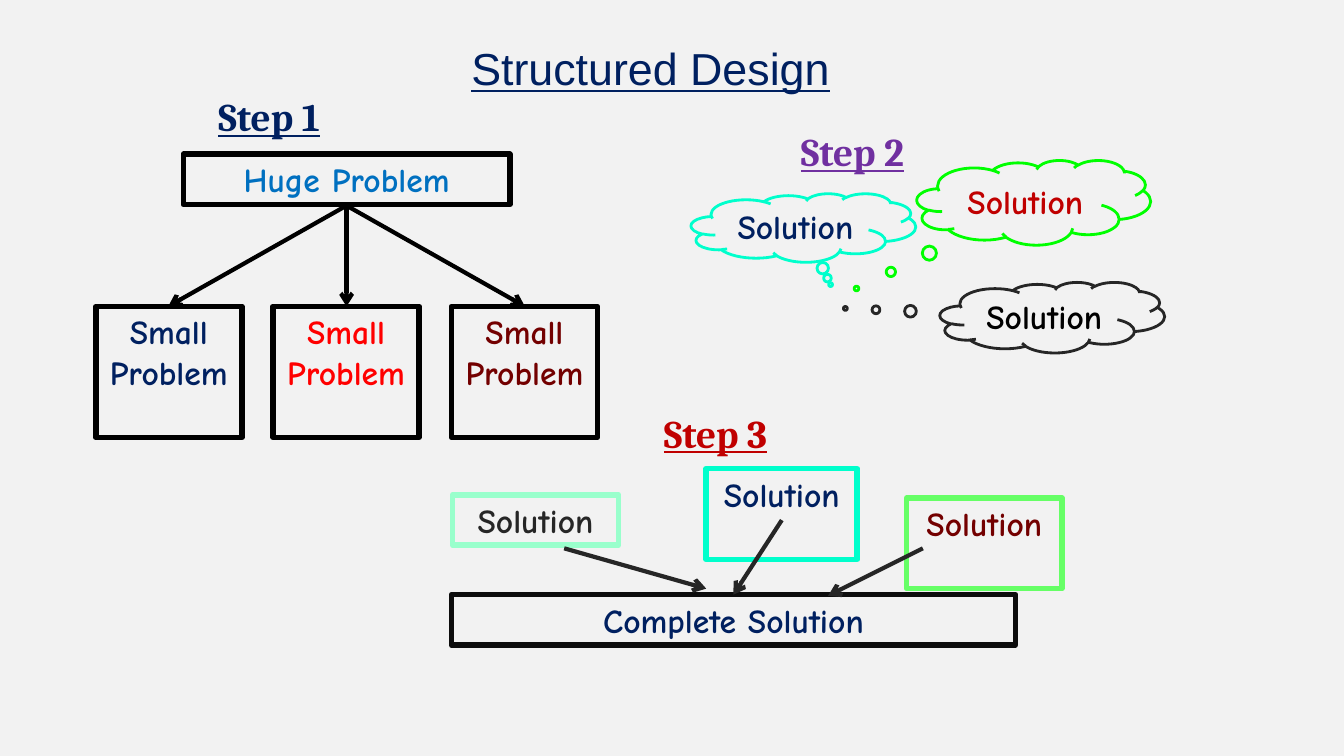
from lxml import etree
from pptx import Presentation
from pptx import util as u
from pptx.dml.color import RGBColor
from pptx.enum import shapes, text
from pptx.oxml import ns

PX = 9144
BACKGROUND = RGBColor(0xF2, 0xF2, 0xF2)
BLACK = RGBColor(0, 0, 0)
NEAR_BLACK = RGBColor(0x0D, 0x0D, 0x0D)
CHARCOAL = RGBColor(0x26, 0x26, 0x26)
NAVY = RGBColor(0x00, 0x20, 0x60)
BLUE = RGBColor(0x00, 0x70, 0xC0)
RED = RGBColor(0xFF, 0, 0)
CRIMSON = RGBColor(0xC0, 0, 0)
MAROON = RGBColor(0x73, 0, 0)
PURPLE = RGBColor(0x70, 0x30, 0xA0)
TURQUOISE = RGBColor(0x00, 0xFF, 0xCC)
MINT = RGBColor(0x99, 0xFF, 0xCC)
GREEN = RGBColor(0x00, 0xFF, 0x00)
LIGHT_GREEN = RGBColor(0x66, 0xFF, 0x66)

RECTANGLE = shapes.MSO_SHAPE.RECTANGLE
CLOUD = shapes.MSO_SHAPE.CLOUD_CALLOUT
TOP, MIDDLE, BOTTOM = (text.MSO_ANCHOR.TOP, text.MSO_ANCHOR.MIDDLE,
                       text.MSO_ANCHOR.BOTTOM)
LEFT, CENTER = text.PP_ALIGN.LEFT, text.PP_ALIGN.CENTER


def emu(*lengths):
    return [u.Emu(length * PX) for length in lengths]


def write(holder, words, size=24, font="Comic Neue", color=NAVY, bold=True,
          underline=False, align=CENTER, anchor=TOP, spacing=1.0):
    frame = holder.text_frame
    frame.word_wrap = True
    frame.vertical_anchor = anchor
    paragraph = frame.paragraphs[0]
    paragraph.alignment = align
    paragraph.line_spacing = spacing
    run = paragraph.add_run()
    run.text = words
    run.font.name = font
    run.font.size = u.Pt(size)
    run.font.bold = bold
    run.font.underline = underline
    run.font.color.rgb = color


def heading(slide, words, color, left, top, width=159, height=59):
    label = slide.shapes.add_textbox(*emu(left, top, width, height))
    write(label, words, size=28, font="Cambria", color=color, underline=True,
          align=LEFT, anchor=BOTTOM, spacing=0.8)


def outlined(slide, preset, box, words, color, border, weight=4, anchor=TOP):
    outline = slide.shapes.add_shape(preset, *emu(*box))
    outline.shadow.inherit = False
    outline.fill.background()
    outline.line.color.rgb = border
    outline.line.width = u.Pt(weight)
    write(outline, words, color=color, anchor=anchor)
    return outline


def arrow(slide, start, end, color):
    connector = slide.shapes.add_connector(
        shapes.MSO_CONNECTOR.STRAIGHT, *emu(*start, *end))
    connector.line.color.rgb = color
    connector.line.width = u.Pt(3)
    etree.SubElement(connector.line._get_or_add_ln(), ns.qn("a:tailEnd"), type="arrow")
    etree.SubElement(connector._element.spPr, ns.qn("a:effectLst"))


def title(slide, left, top, width, height):
    label = slide.shapes.add_textbox(*emu(left, top, width, height))
    write(label, "Structured Design", size=32, font="Arial", bold=False,
          underline=True, align=LEFT)


def divide_problem(slide, left, top, width, height):
    small_width, small_height = 145, 130
    small_top = top + height - small_height
    center = left + width // 2
    heading(slide, "Step 1", NAVY, left + 112, top, 178, 56)
    outlined(slide, RECTANGLE, (left + 87, top + 66, 324, 50),
             "Huge Problem", BLUE, BLACK)
    for column, color in enumerate((NAVY, RED, MAROON)):
        small_left = left + column * (width - small_width) // 2
        outlined(slide, RECTANGLE,
                 (small_left, small_top, small_width, small_height),
                 "Small Problem", color, BLACK)
        arrow(slide, (center, top + 117),
              (center + (column - 1) * 177, small_top), BLACK)


def solve_parts(slide, left, top):
    heading(slide, "Step 2", PURPLE, left + 99, top)
    clouds = [
        ((247, 161, 223, 70), (-0.921, -0.128), BLACK, CHARCOAL),
        ((0, 73, 223, 68), (0.121, 0.829), NAVY, TURQUOISE),
        ((224, 40, 232, 84), (-0.758, 1.015), CRIMSON, GREEN),
    ]
    for (x, y, width, height), tail, color, border in clouds:
        cloud = outlined(slide, CLOUD, (left + x, top + y, width, height),
                         "Solution", color, border, weight=2, anchor=MIDDLE)
        cloud.adjustments[0], cloud.adjustments[1] = tail


def combine_solutions(slide, left, top):
    heading(slide, "Step 3", CRIMSON, left + 201, top)
    outlined(slide, RECTANGLE, (left, top + 192, 560, 50),
             "Complete Solution", NAVY, NEAR_BLACK)
    solutions = [
        ((1, 93, 165, 50), CHARCOAL, MINT, (112, 146), (253, 186)),
        ((253, 67, 150, 90), NAVY, TURQUOISE, (328, 118), (280, 192)),
        ((452, 96, 154, 90), MAROON, LIGHT_GREEN, (468, 146), (374, 193)),
    ]
    for (x, y, width, height), color, border, start, end in solutions:
        outlined(slide, RECTANGLE, (left + x, top + y, width, height),
                 "Solution", color, border)
        arrow(slide, (left + start[0], top + start[1]),
              (left + end[0], top + end[1]), CHARCOAL)


def main():
    deck = Presentation()
    deck.slide_width, deck.slide_height = emu(1334, 750)
    slide = deck.slides.add_slide(deck.slide_layouts[6])
    slide.background.fill.solid()
    slide.background.fill.fore_color.rgb = BACKGROUND
    title(slide, 458, 36, 493, 64)
    divide_problem(slide, 95, 87, 498, 347)
    solve_parts(slide, 686, 119)
    combine_solutions(slide, 448, 398)
    deck.save("out.pptx")


if __name__ == "__main__":
    main()
